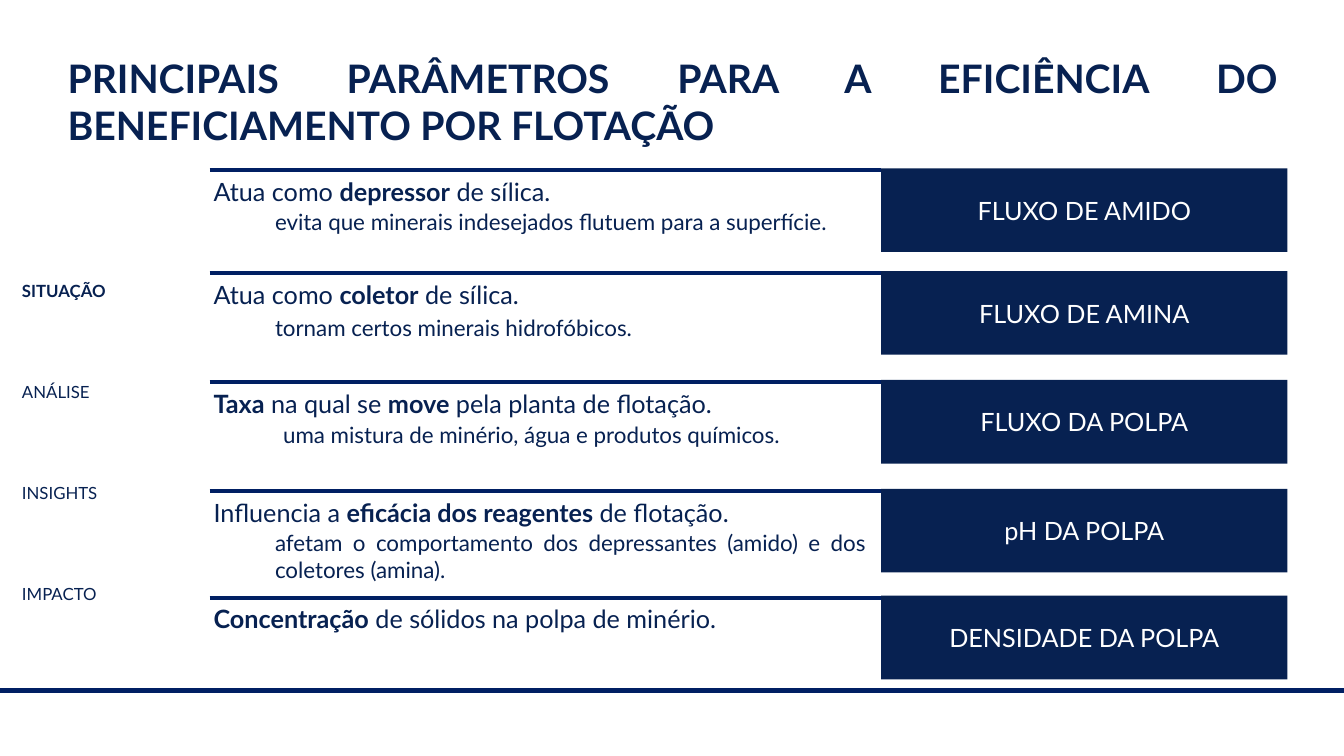
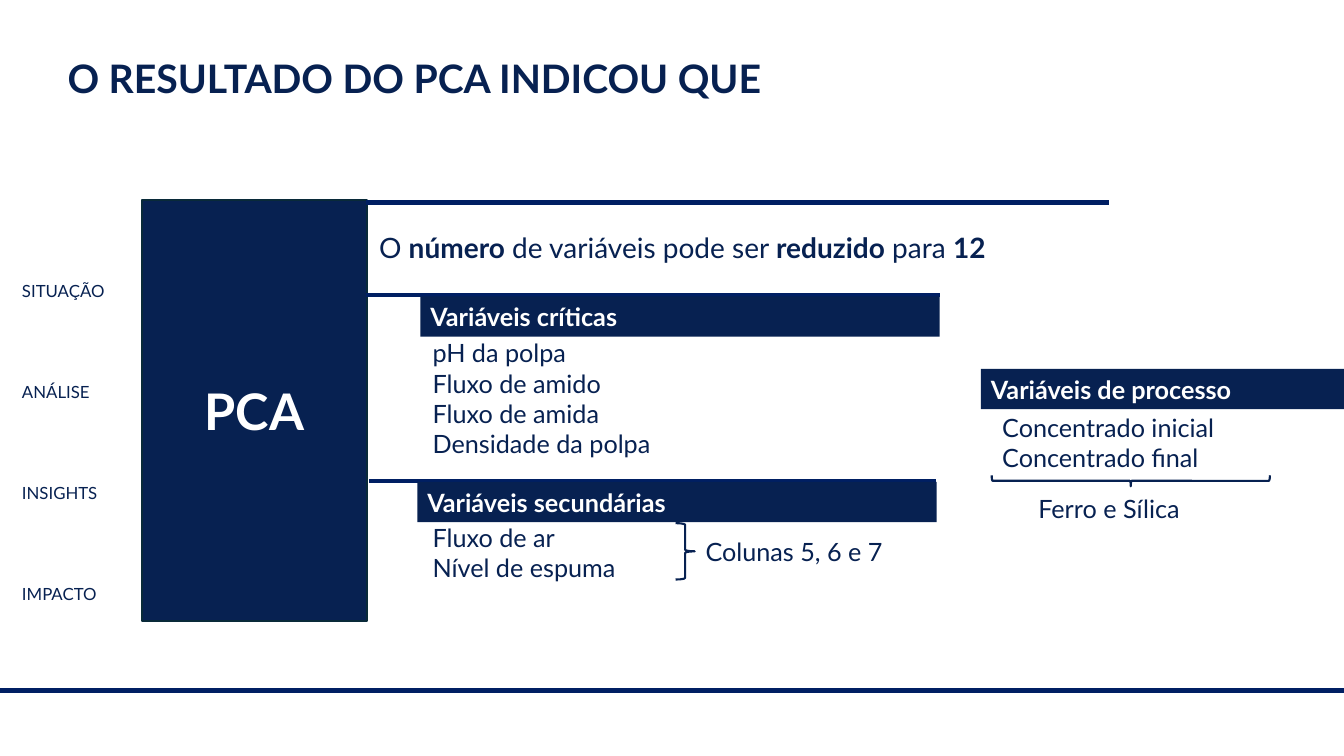
from lxml.etree import SubElement
from pptx import Presentation
from pptx.dml.color import RGBColor
from pptx.enum.shapes import MSO_CONNECTOR, MSO_SHAPE
from pptx.enum.text import MSO_ANCHOR, MSO_AUTO_SIZE, PP_ALIGN
from pptx.oxml.ns import qn
from pptx.util import Emu, Pt

# Shared look: 100 px to the inch
PX = 9144
WIDTH, HEIGHT = 1333, 750
FONT = "Lato"
COLORS = {"navy": "072151", "rule": "001F63", "edge": "092A39", "white": "FFFFFF"}
LEFT, CENTER, JUSTIFY = PP_ALIGN.LEFT, PP_ALIGN.CENTER, PP_ALIGN.JUSTIFY
STAGES = ["SITUAÇÃO", "ANÁLISE", "INSIGHTS", "IMPACTO"]
FOOTER_TOP = 685

# Content; *asterisks* mark bold words
PARAMETERS_TITLE = "PRINCIPAIS PARÂMETROS PARA A EFICIÊNCIA DO BENEFICIAMENTO POR FLOTAÇÃO"
# label, bar top, statement, detail, detail left, detail top, detail alignment
PARAMETERS = [
    ("FLUXO DE AMIDO", 167, "Atua como *depressor* de sílica.",
     "evita que minerais indesejados flutuem para a superfície.", 263, 202, JUSTIFY),
    ("FLUXO DE AMINA", 269, "Atua como *coletor* de sílica.",
     "tornam certos minerais hidrofóbicos.", 263, 307, JUSTIFY),
    ("FLUXO DA POLPA", 377, "*Taxa* na qual se *move* pela planta de flotação.",
     "uma mistura de minério, água e produtos químicos.", 271, 413, LEFT),
    ("pH DA POLPA", 485, "Influencia a *eficácia dos reagentes* de flotação.",
     "afetam o comportamento dos depressantes (amido) e dos coletores (amina).",
     263, 520, JUSTIFY),
    ("DENSIDADE DA POLPA", 591, "*Concentração* de sólidos na polpa de minério.",
     None, 0, 0, LEFT),
]
BAR_LEFT, BAR_WIDTH, BAR_HEIGHT = 874, 403, 83

PCA_TITLE = "O RESULTADO DO PCA INDICOU QUE"
PCA_LEAD = "O *número* de variáveis pode ser *reduzido* para *12*"
# heading, heading box, items, items box
GROUPS = [
    ("Variáveis críticas", (417, 294, 515, 40),
     ["pH da polpa", "Fluxo de amido", "Fluxo de amida", "Densidade da polpa"],
     (419, 330, 500, 131)),
    ("Variáveis secundárias", (414, 478, 515, 40),
     ["Fluxo de ar", "Nível de espuma"], (419, 513, 240, 71)),
    ("Variáveis de processo", (973, 366, WIDTH - 973, 40),
     ["Concentrado inicial", "Concentrado final"], (984, 404, 340, 71)),
]
PCA_RULES = [(363, 1100, 201), (363, 932, 293), (366, 928, 477)]
# brace box, rotation, note, note box
BRACES = [
    ((670, 519, 19, 56), 0, "Colunas 5, 6 e 7", (690, 527, 300, 40)),
    ((1116, 339, 11, 276), 90, "Ferro e Sílica", (1020, 484, 300, 40)),
]


def rgb(name):
    return RGBColor.from_string(COLORS[name])


def to_emu(box):
    return [Emu(value * PX) for value in box]


def write(shape, lines, size, color="navy", align=LEFT, anchor=MSO_ANCHOR.TOP,
          bold=False, gap=0):
    frame = shape.text_frame
    frame.word_wrap = True
    frame.auto_size = MSO_AUTO_SIZE.NONE
    frame.vertical_anchor = anchor
    for index, line in enumerate(lines):
        paragraph = frame.paragraphs[0] if index == 0 else frame.add_paragraph()
        paragraph.alignment = align
        paragraph.space_before = Pt(gap if index else 0)
        if shape.is_placeholder:
            properties = paragraph._p.get_or_add_pPr()
            properties.set("marL", "0")
            properties.set("indent", "0")
            SubElement(properties, qn("a:buNone"))
        for part, words in enumerate(line.split("*")):
            if words:
                run = paragraph.add_run()
                run.text = words
                run.font.name, run.font.size = FONT, Pt(size)
                run.font.bold = bold or part % 2 == 1
                run.font.color.rgb = rgb(color)


def add_text(slide, box, lines, size, **style):
    shape = slide.shapes.add_textbox(*to_emu(box))
    write(shape, lines, size, **style)
    return shape


def fill_placeholder(shape, box, lines, size, **style):
    shape.left, shape.top, shape.width, shape.height = to_emu(box)
    write(shape, lines, size, **style)


def add_block(slide, box, text, size, align=CENTER, bold=False):
    block = slide.shapes.add_shape(MSO_SHAPE.RECTANGLE, *to_emu(box))
    block.shadow.inherit = False
    block.fill.solid()
    block.fill.fore_color.rgb = rgb("navy")
    block.line.fill.background()
    write(block, [text], size, color="white", align=align,
          anchor=MSO_ANCHOR.MIDDLE, bold=bold)
    return block


def add_rule(slide, left, right, top):
    rule = slide.shapes.add_connector(
        MSO_CONNECTOR.STRAIGHT, *to_emu((left, top, right, top)))
    rule.line.color.rgb = rgb("rule")
    rule.line.width = Pt(3)
    SubElement(rule._element.spPr, qn("a:effectLst"))


def add_brace(slide, box, rotation):
    brace = slide.shapes.add_shape(MSO_SHAPE.RIGHT_BRACE, *to_emu(box))
    brace.shadow.inherit = False
    brace.fill.background()
    brace.line.color.rgb = rgb("navy")
    brace.line.width = Pt(1.5)
    brace.rotation = rotation


def start_slide(presentation, layout_name, title, active=None):
    layout = presentation.slide_layouts.get_by_name(layout_name)
    slide = presentation.slides.add_slide(layout)
    fill_placeholder(slide.shapes.title, (57, 49, 1220, 104), [title], 28,
                     align=JUSTIFY, bold=True)
    add_rule(slide, 0, WIDTH, FOOTER_TOP)
    stages = [f"*{stage}*" if stage == active else stage for stage in STAGES]
    add_text(slide, (12, 274, 133, 333), stages, 12, gap=57.6)
    return slide


def build_parameters(presentation):
    slide = start_slide(presentation, "Title Only", PARAMETERS_TITLE, active="SITUAÇÃO")
    for label, top, statement, detail, detail_left, detail_top, align in PARAMETERS:
        add_rule(slide, 208, BAR_LEFT, top + 2)
        add_block(slide, (BAR_LEFT, top, BAR_WIDTH, BAR_HEIGHT), label, 18)
        add_text(slide, (202, top + 3, 672, 40), [statement], 18, align=JUSTIFY)
        if detail:
            add_text(slide, (detail_left, detail_top, 869 - detail_left, 64),
                     [detail], 16, align=align)


def build_pca(presentation):
    slide = start_slide(presentation, "Comparison", PCA_TITLE)
    _, lead, *lists = slide.placeholders
    fill_placeholder(lead, (366, 224, 744, 44), [PCA_LEAD], 20, align=JUSTIFY)

    # Main block and its branches
    block = add_block(slide, (141, 198, 223, 418), "PCA", 36, bold=True)
    block.line.color.rgb = rgb("edge")
    block.line.width = Pt(1.5)
    for left, right, top in PCA_RULES:
        add_rule(slide, left, right, top)

    # Variable groups
    for placeholder, (heading, heading_box, items, items_box) in zip(lists, GROUPS):
        add_block(slide, heading_box, heading, 18, align=JUSTIFY, bold=True)
        fill_placeholder(placeholder, items_box, items, 18)

    # Braces with notes
    for box, rotation, note, note_box in BRACES:
        add_brace(slide, box, rotation)
        add_text(slide, note_box, [note], 18)


def main():
    presentation = Presentation()
    presentation.slide_width, presentation.slide_height = to_emu((WIDTH, HEIGHT))
    build_parameters(presentation)
    build_pca(presentation)
    presentation.save("out.pptx")


if __name__ == "__main__":
    main()
